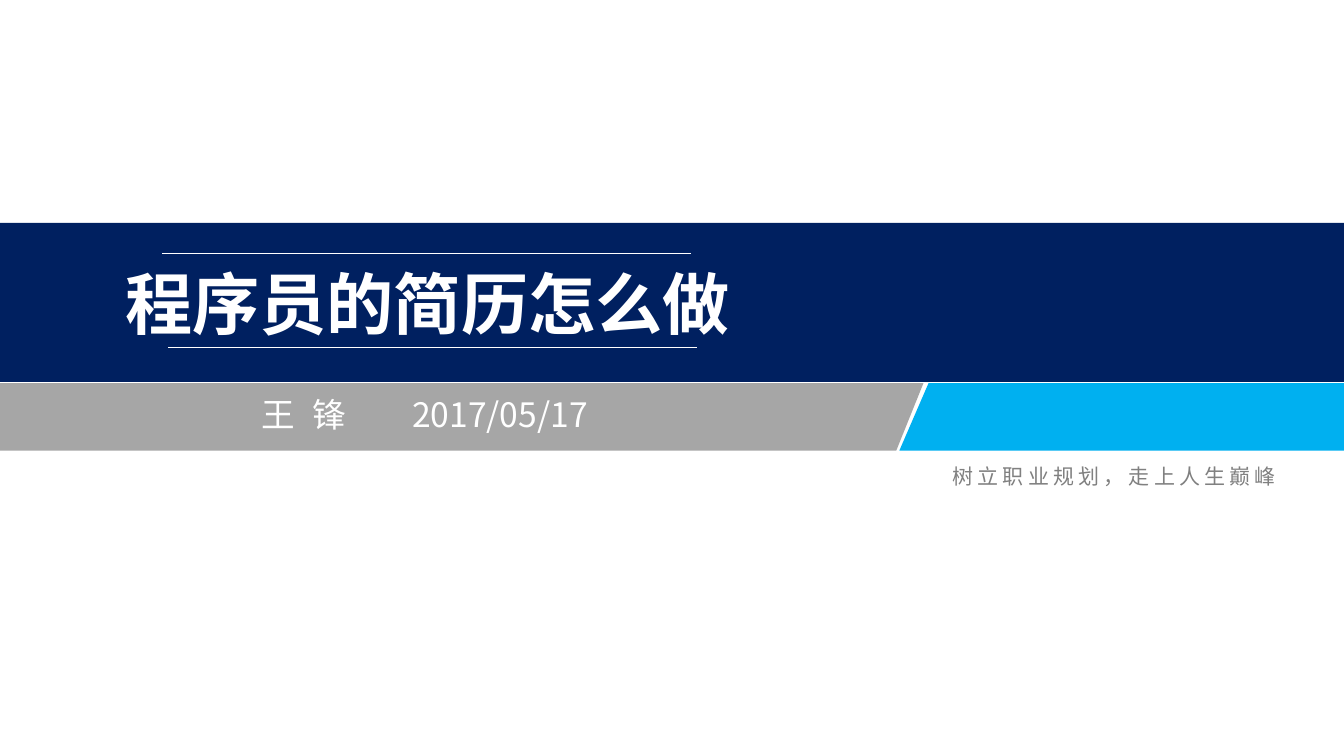
"""Build the cover slide of a talk on programmer résumés."""
import pptx
import pptx.util
import pptx.dml.color
import pptx.enum.shapes
import pptx.enum.text
import pptx.oxml.ns
import lxml.etree

Inches = pptx.util.Inches
qn = pptx.oxml.ns.qn
FONT = "Noto Sans CJK SC"


def color(code):
    return pptx.dml.color.RGBColor.from_string(code)


def write(box, text, size, tint="FFFFFF", bold=False, align="LEFT", wrap=False, gap=0, tabs=()):
    frame = box.text_frame
    frame.word_wrap = wrap
    frame.auto_size = pptx.enum.text.MSO_AUTO_SIZE.NONE
    frame.vertical_anchor = pptx.enum.text.MSO_ANCHOR.MIDDLE
    para = frame.paragraphs[0]
    para.alignment = getattr(pptx.enum.text.PP_ALIGN, align)
    para.line_spacing = 1.0
    run = para.add_run()
    run.text = text
    run.font.size = pptx.util.Pt(size)
    run.font.bold = bold
    run.font.name = FONT
    run.font.color.rgb = color(tint)
    props = run.font._element
    lxml.etree.SubElement(props, qn("a:ea"), typeface=FONT)
    if gap:
        props.set("spc", str(gap * 100))
    if tabs:
        stops = lxml.etree.SubElement(para._p.get_or_add_pPr(), qn("a:tabLst"))
        for stop in tabs:
            lxml.etree.SubElement(stops, qn("a:tab"), pos=str(Inches(stop)), algn="l")


deck = pptx.Presentation()
deck.slide_width = Inches(13.33)
deck.slide_height = Inches(7.5)
slide = deck.slides.add_slide(deck.slide_layouts[5])
shapes = slide.shapes

banner = shapes.add_shape(
    pptx.enum.shapes.MSO_SHAPE.RECTANGLE, 0, Inches(2.21), Inches(13.33), Inches(1.58))
bands = [(banner, "002060")]
strips = [
    ("A6A6A6", [(0, 3.8), (9.16, 3.8), (8.89, 4.47), (0, 4.47)]),
    ("00B0F0", [(9.21, 3.8), (13.33, 3.8), (13.33, 4.47), (8.92, 4.47)]),
]
for fill, points in strips:
    spots = [(Inches(x), Inches(y)) for x, y in points]
    pen = shapes.build_freeform(*spots[0])
    pen.add_line_segments(spots[1:], close=True)
    bands.append((pen.convert_to_shape(), fill))
for band, fill in bands:
    band.shadow.inherit = False
    band.fill.solid()
    band.fill.fore_color.rgb = color(fill)
    band.line.fill.background()

title = shapes.title
title.left, title.top = Inches(1.11), Inches(2.55)
title.width, title.height = Inches(6.26), Inches(0.91)
write(title, "程序员的简历怎么做", 48, bold=True, align="CENTER")
shapes._spTree.append(title._element)

author = shapes.add_textbox(Inches(2.5), Inches(3.86), Inches(3.5), Inches(0.5))
write(author, "王\t锋\t2017/05/17", 24, tabs=(0.5, 1.49))

for left, top in [(1.61, 2.52), (1.67, 3.45)]:
    rule = shapes.add_connector(
        pptx.enum.shapes.MSO_CONNECTOR.STRAIGHT,
        Inches(left), Inches(top), Inches(left + 5.24), Inches(top))
    rule.line.color.rgb = color("FFFFFF")
    rule.line.width = pptx.util.Pt(0.75)
    lxml.etree.SubElement(rule._element.spPr, qn("a:effectLst"))

motto = shapes.add_textbox(Inches(9.35), Inches(4.55), Inches(3.56), Inches(0.35))
write(motto, "树立职业规划，走上人生巅峰", 15, tint="808080", wrap=True, gap=3)

deck.save("out.pptx")
